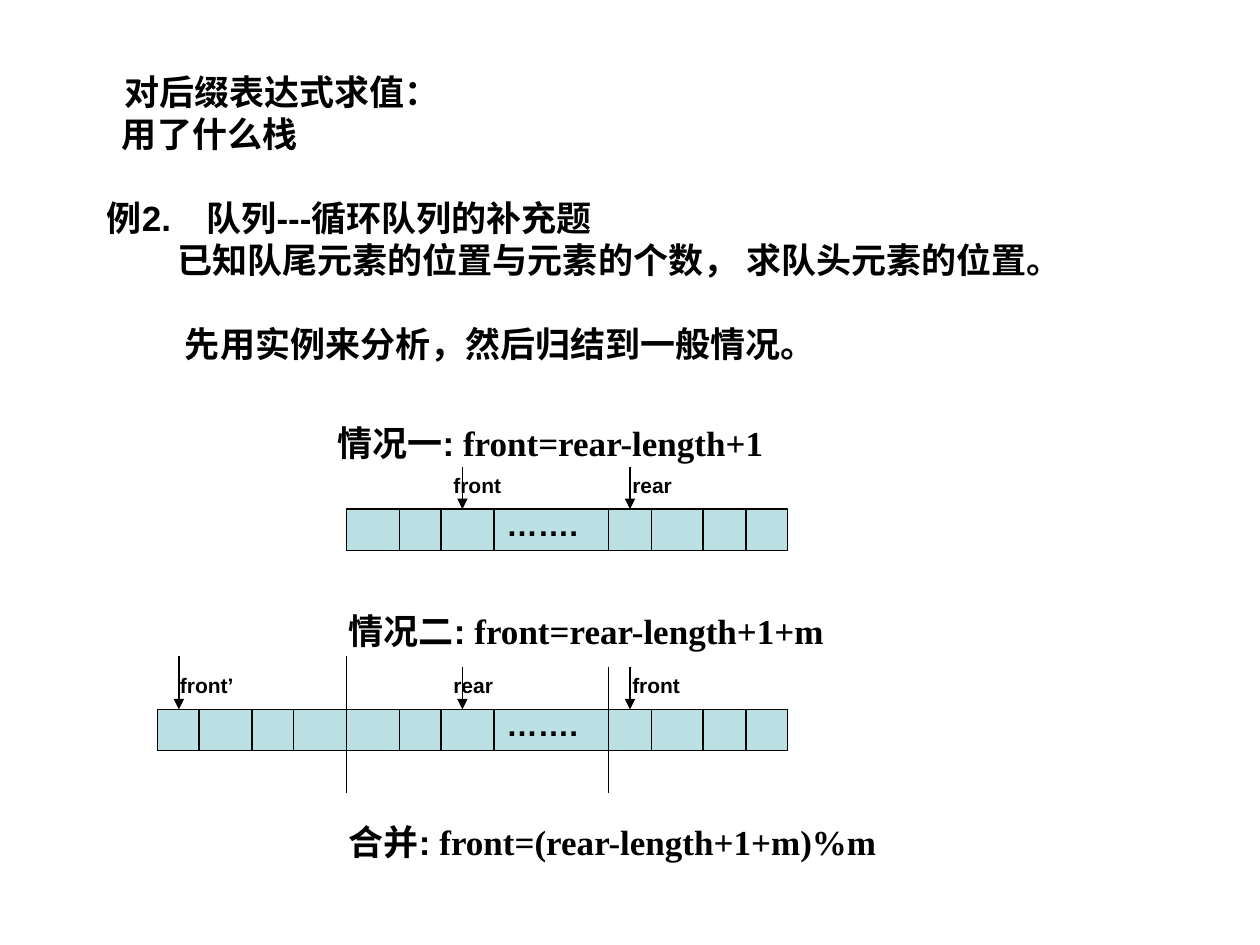
from dataclasses import dataclass

from lxml.etree import SubElement
from pptx import Presentation
from pptx.dml.color import RGBColor
from pptx.enum.shapes import MSO_CONNECTOR, MSO_SHAPE
from pptx.oxml.ns import qn
from pptx.util import Inches, Pt

COLORS = {"ink": "000000", "cell": "BBE0E3"}
CELL = 0.33
SERIF = "Times New Roman"


@dataclass(frozen=True)
class Line:
    text: str
    indent: float = 0
    before: float = 0


@dataclass(frozen=True)
class Queue:
    left: float
    right: float
    top: float
    cuts: tuple[float, ...]


@dataclass(frozen=True)
class Mark:
    name: str
    left: float
    tip: float
    top: float
    end: float


@dataclass(frozen=True)
class Rule:
    left: float
    text: str
    formula: str
    top: float
    width: float = 4.33


INTRO = (
    Line("对后缀表达式求值：", 0.14),
    Line("用了什么栈", 0.12),
    Line("例2.\t队列---循环队列的补充题", before=24),
    Line("已知队尾元素的位置与元素的个数， 求队头元素的位置。", 0.56),
    Line("先用实例来分析，然后归结到一般情况。", 0.62, 24),
)
CUTS = (3.17, 3.5, 3.92, 4.83, 5.17, 5.58, 5.92)
TOPS = (4.04, 5.63)
QUEUES = (
    *(Queue(2.75, 6.25, top, CUTS) for top in TOPS),
    Queue(1.25, 2.75, TOPS[1], (1.58, 2, 2.33)),
)
MARKS = (
    Mark("front", 3.5, 3.67, 3.71, TOPS[0]),
    Mark("rear", 4.92, 5, 3.71, TOPS[0]),
    Mark("rear", 3.5, 3.67, 5.29, TOPS[1]),
    Mark("front", 4.92, 5, 5.29, TOPS[1]),
    Mark("front’", 1.33, 1.42, 5.21, TOPS[1]),
)
RULES = (
    Rule(2.58, "情况一:", "front=rear-length+1", 3.3),
    Rule(2.67, "情况二:", "front=rear-length+1+m", 4.79),
    Rule(2.67, "合并:", "front=(rear-length+1+m)%m", 6.46, 4.91),
)


def color(name: str) -> RGBColor:
    return RGBColor.from_string(COLORS[name])


def add_run(para, text: str, *, size: float = 20, font: str = "Arial") -> None:
    run = para.add_run()
    run.text = text
    run.font.size = Pt(size)
    run.font.name = font
    run.font.bold = True
    run.font.color.rgb = color("ink")


def add_frame(slide, left: float, top: float, width: float, height: float):
    box = slide.shapes.add_textbox(
        Inches(left), Inches(top), Inches(width), Inches(height)
    )
    box.text_frame.word_wrap = True
    return box.text_frame


def add_text(slide, text: str, *, left: float, top: float, width: float,
             height: float, size: float = 20, formula: str = "") -> None:
    """Place one line of text, with an optional formula in serif type."""
    para = add_frame(slide, left, top, width, height).paragraphs[0]
    add_run(para, text, size=size)
    if formula:
        add_run(para, f" {formula}", size=size, font=SERIF)


def add_intro(slide) -> None:
    frame = add_frame(slide, 0.75, 0.44, 8.5, 2.76)
    frame.margin_top = Inches(0.12)
    for i, line in enumerate(INTRO):
        para = frame.add_paragraph() if i else frame.paragraphs[0]
        para.line_spacing = Pt(24)
        para.space_before = Pt(line.before)
        props = para._p.get_or_add_pPr()
        props.set("marL", str(Inches(line.indent)))
        if "\t" in line.text:
            tabs = SubElement(props, qn("a:tabLst"))
            SubElement(tabs, qn("a:tab"), pos=str(Inches(0.79)), algn="l")
        add_run(para, line.text)


def add_line(slide, x: float, top: float, end: float, *,
             arrow: bool = False) -> None:
    """Draw a vertical line, with an arrowhead at its end if asked."""
    line = slide.shapes.add_connector(
        MSO_CONNECTOR.STRAIGHT, Inches(x), Inches(top), Inches(x), Inches(end)
    )
    line.line.color.rgb = color("ink")
    line.line.width = Pt(0.75)
    if arrow:
        SubElement(line.line._get_or_add_ln(), qn("a:tailEnd"), type="triangle")
    SubElement(line._element.spPr, qn("a:effectLst"))


def add_queue(slide, queue: Queue) -> None:
    bar = slide.shapes.add_shape(
        MSO_SHAPE.RECTANGLE, Inches(queue.left), Inches(queue.top),
        Inches(queue.right - queue.left), Inches(CELL),
    )
    bar.shadow.inherit = False
    bar.fill.solid()
    bar.fill.fore_color.rgb = color("cell")
    bar.line.color.rgb = color("ink")
    bar.line.width = Pt(0.75)
    for x in queue.cuts:
        add_line(slide, x, queue.top, queue.top + CELL)


def add_mark(slide, mark: Mark) -> None:
    add_line(slide, mark.tip, mark.top, mark.end, arrow=True)
    add_text(slide, mark.name, left=mark.left, top=mark.end - 0.34,
             width=0.67, height=0.3, size=12)


def main() -> None:
    deck = Presentation()
    deck.slide_width, deck.slide_height = Inches(10), Inches(7.5)
    slide = deck.slides.add_slide(deck.slide_layouts[6])
    add_intro(slide)
    for queue in QUEUES:
        add_queue(slide, queue)
    for top in TOPS:
        add_text(slide, "…….", left=3.92, top=top - 0.08,
                 width=0.92, height=0.4, size=18)
    for mark in MARKS:
        add_mark(slide, mark)
    for rule in RULES:
        add_text(slide, rule.text, formula=rule.formula, left=rule.left,
                 top=rule.top, width=rule.width, height=0.44)
    for x, top in ((2.75, 5.21), (4.83, 5.29)):
        add_line(slide, x, top, 6.29)
    deck.save("out.pptx")


if __name__ == "__main__":
    main()
